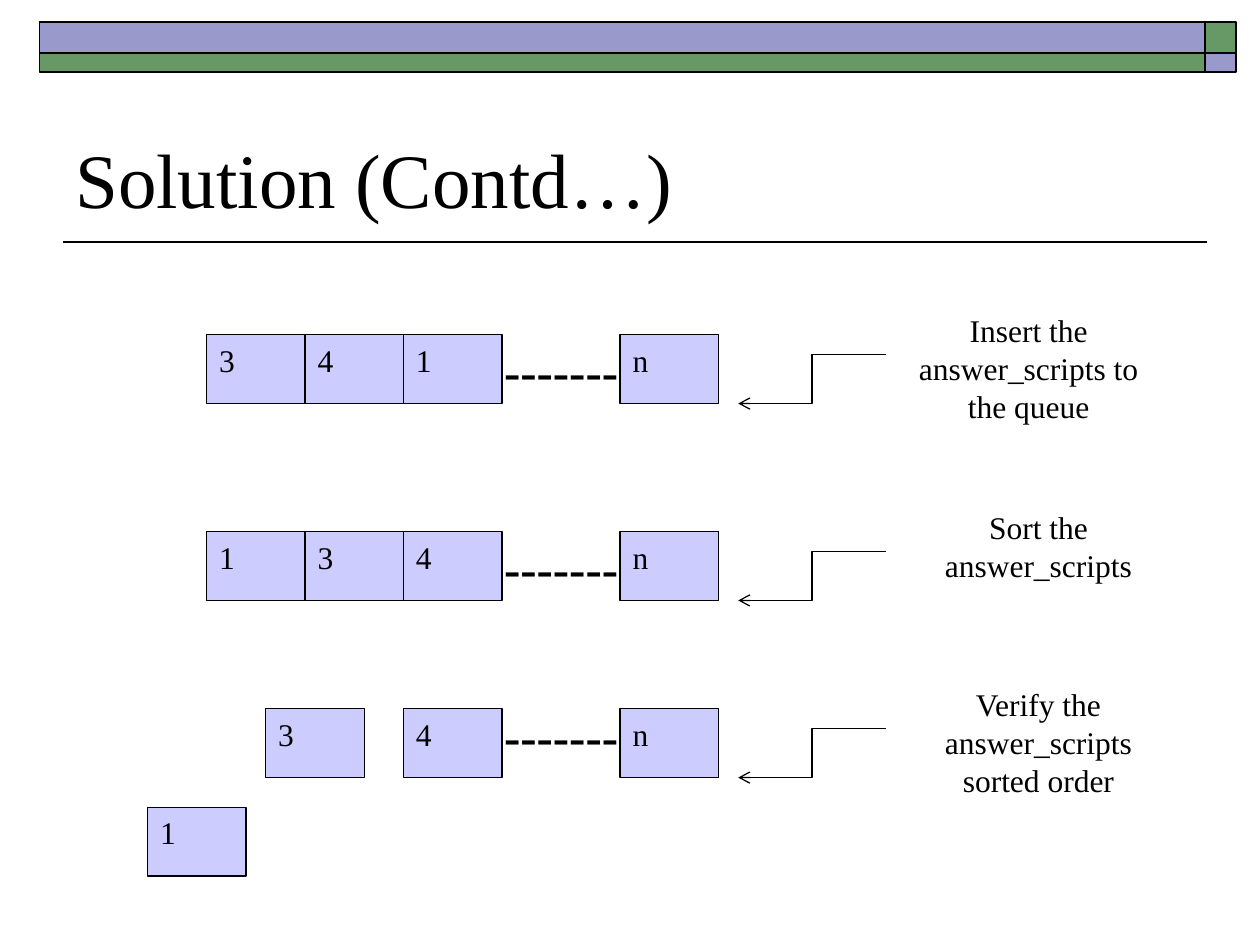
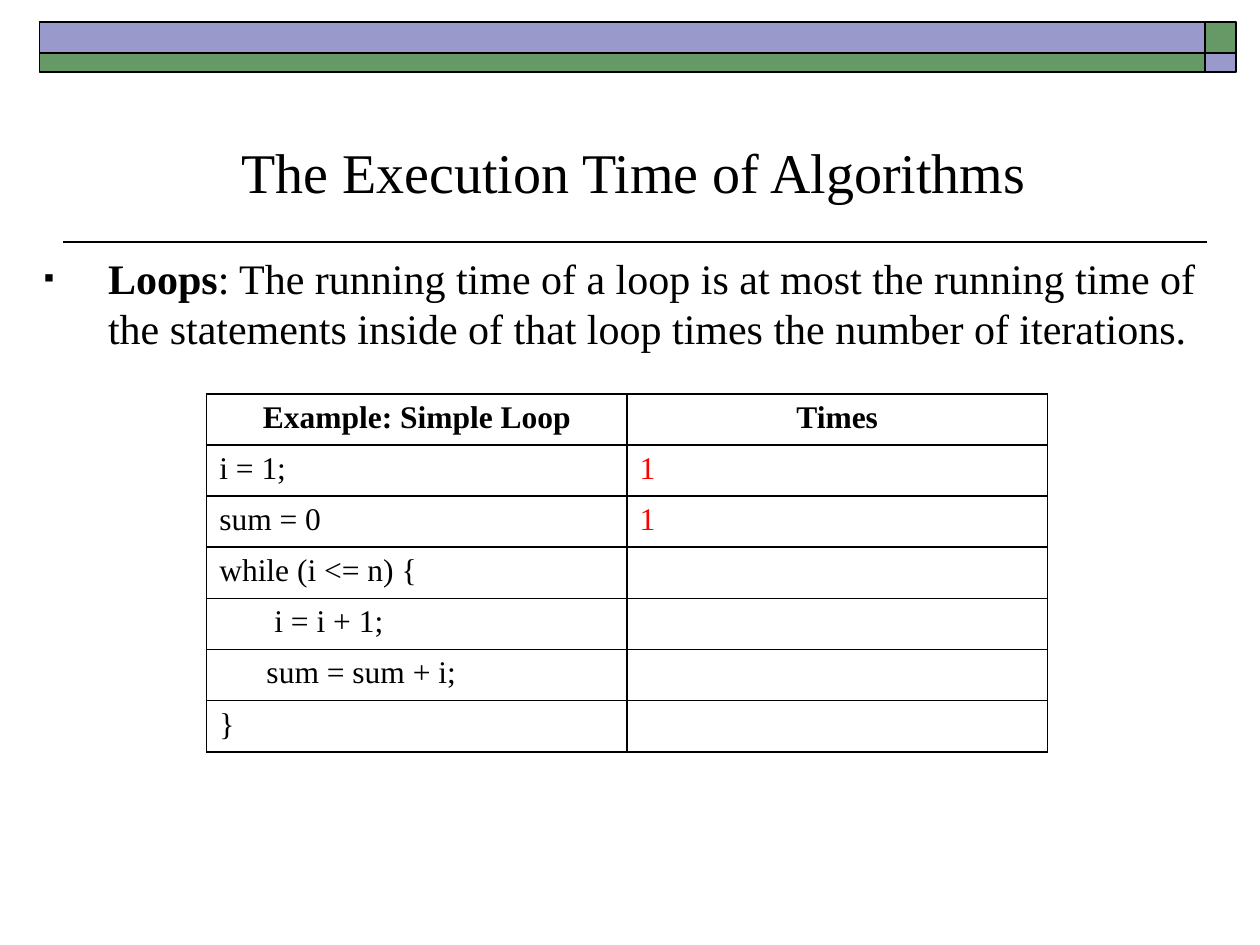
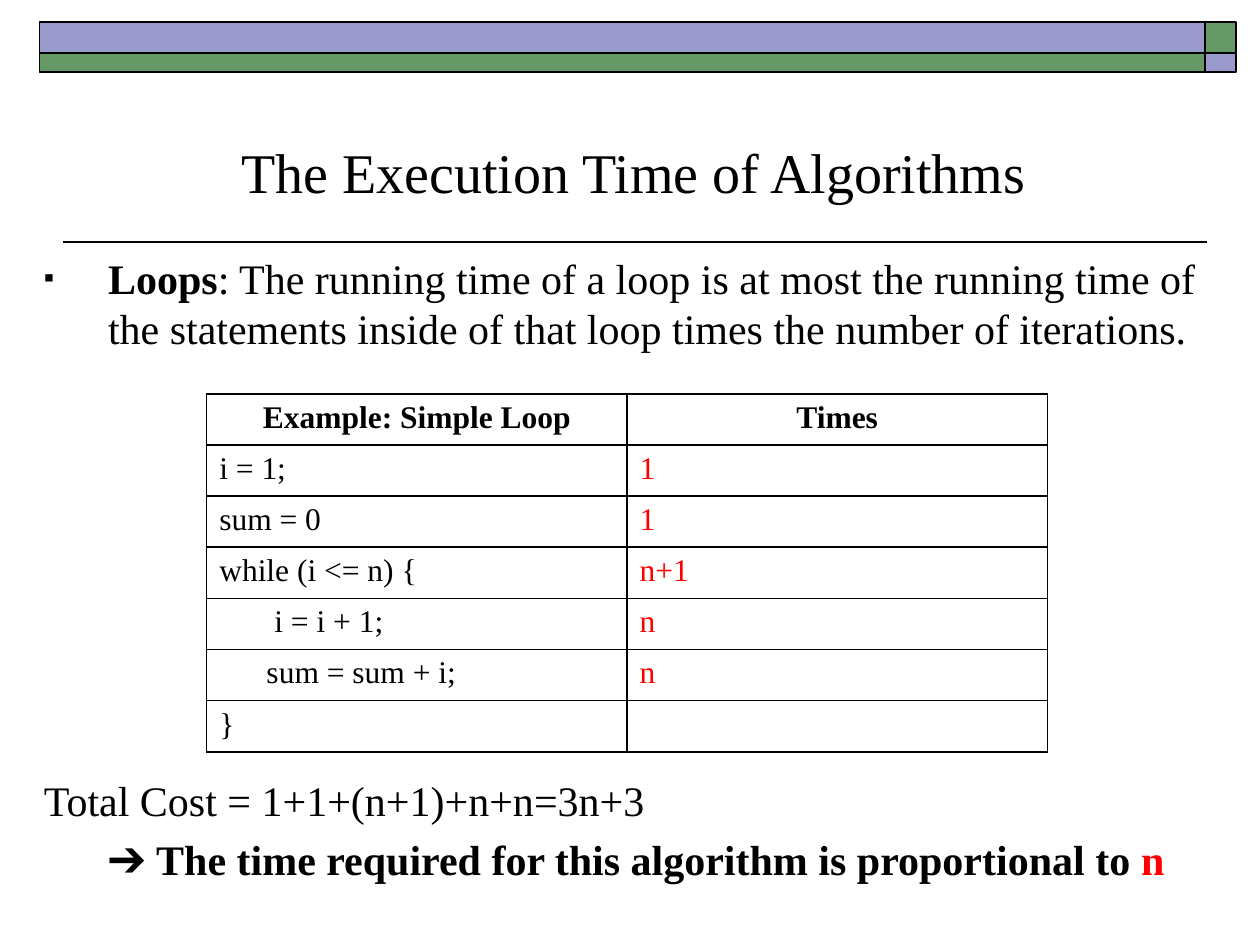
from typing import NamedTuple

from lxml import etree
from pptx import Presentation
from pptx.dml.color import RGBColor
from pptx.enum.shapes import MSO_CONNECTOR, MSO_SHAPE
from pptx.enum.text import MSO_ANCHOR, PP_ALIGN
from pptx.oxml.ns import qn
from pptx.util import Emu, Inches, Pt

RECTANGLE, PROCESS = MSO_SHAPE.RECTANGLE, MSO_SHAPE.FLOWCHART_PROCESS
STRAIGHT, ELBOW = MSO_CONNECTOR.STRAIGHT, MSO_CONNECTOR.ELBOW
LEFT, CENTER = PP_ALIGN.LEFT, PP_ALIGN.CENTER
TOP, BOTTOM = MSO_ANCHOR.TOP, MSO_ANCHOR.BOTTOM

WIDTH, HEIGHT = Inches(10), Inches(7.5)
UNIT = WIDTH / 64  # square grid: 64 columns by 48 rows

FONT = "Times New Roman"
BLACK, RED = "000000", "FF0000"
GREEN, VIOLET, LILAC = "669966", "9999CC", "CCCCFF"
HANGING = Inches(0.51)


class Area(NamedTuple):
    """A place on the grid, in columns and rows."""
    column: float
    row: float
    columns: float
    rows: float


class Band(NamedTuple):
    area: Area
    fill: str


class Span(NamedTuple):
    text: str
    bold: bool = False
    color: str = BLACK


class Item(NamedTuple):
    column: float
    row: float
    text: str


class QueueStep(NamedTuple):
    row: float
    items: list[Item]
    dash_row: float
    label_column: float
    label: str


BANDS = [
    Band(Area(61.2, 1.1, 1.6, 1.6), GREEN),
    Band(Area(2, 1.1, 59.2, 1.6), VIOLET),
    Band(Area(2, 2.7, 59.2, 0.95), GREEN),
    Band(Area(61.2, 2.7, 1.6, 0.95), VIOLET),
]
LEFT_TITLE = Area(3.2, 3.7, 57.6, 8)
CENTER_TITLE = Area(5, 7.5, 54.4, 3.2)
BODY = Area(1.6, 12.5, 60.8, 30.1)
TABLE = Area(10.5, 20, 42.7, 18.2)

# Queue diagram: cells of 5 by 3.5 units
CELL_COLUMNS, CELL_ROWS = 5, 3.5
FIRST, SECOND, THIRD, LAST = 10.5, 15.5, 20.5, 31.5
QUEUE_STEPS = [
    QueueStep(17, [Item(FIRST, 17, "3"), Item(SECOND, 17, "4"), Item(THIRD, 17, "1")],
              17, 45.5, "Insert the answer_scripts to the queue"),
    QueueStep(27, [Item(FIRST, 27, "1"), Item(SECOND, 27, "3"), Item(THIRD, 27, "4")],
              27, 46, "Sort the answer_scripts"),
    QueueStep(36, [Item(7.5, 41, "1"), Item(13.5, 36, "3"), Item(THIRD, 36, "4")],
              35.5, 46, "Verify the answer_scripts sorted order"),
]

LOOP_CODE = ["i = 1;", "sum = 0", "while (i <= n) {",
             "       i = i + 1;", "      sum = sum + i;", "}"]
LOOP_RULE = [
    Span("Loops", bold=True),
    Span(": The running time of a loop is at most the running time of the "
         "statements inside of that loop times the number of iterations."),
]
TOTAL_COST = [Span("Total Cost = 1+1+(n+1)+n+n=3n+3")]
CONCLUSION = [
    Span("➔ "),
    Span("The time required for this algorithm is proportional to ", bold=True),
    Span("n", bold=True, color=RED),
]


def rgb(color: str) -> RGBColor:
    return RGBColor.from_string(color)


def grid(units: float) -> Emu:
    return Emu(round(units * UNIT))


def place(area: Area) -> list[Emu]:
    return [grid(units) for units in area]


def style(paragraph, size: float, align=LEFT, bold: bool = False, color: str = BLACK) -> None:
    paragraph.alignment = align
    font = paragraph.font
    font.name, font.size, font.bold = FONT, Pt(size), bold
    font.color.rgb = rgb(color)


def add_box(slide, kind, area: Area, fill: str, line_width: float):
    shape = slide.shapes.add_shape(kind, *place(area))
    shape.shadow.inherit = False
    shape.fill.solid()
    shape.fill.fore_color.rgb = rgb(fill)
    shape.line.color.rgb = rgb(BLACK)
    shape.line.width = Pt(line_width)
    return shape


def add_text(slide, area: Area, text: str, size: float, align=CENTER,
             bold: bool = False, anchor=TOP) -> None:
    frame = slide.shapes.add_textbox(*place(area)).text_frame
    frame.word_wrap = True
    frame.vertical_anchor = anchor
    frame.text = text
    style(frame.paragraphs[0], size, align, bold)


def add_line(slide, kind, start: tuple[float, float], end: tuple[float, float],
             width: float, arrow: bool = False) -> None:
    connector = slide.shapes.add_connector(kind, *map(grid, start + end))
    connector.line.color.rgb = rgb(BLACK)
    connector.line.width = Pt(width)
    properties = connector._element.spPr
    if arrow:
        etree.SubElement(properties.find(qn("a:ln")), qn("a:tailEnd"), type="arrow")
    etree.SubElement(properties, qn("a:effectLst"))


def add_framed_slide(presentation):
    """Blank slide with the shared bands and the rule below the title."""
    slide = presentation.slides.add_slide(presentation.slide_layouts[6])
    add_line(slide, STRAIGHT, (61.3, 12.3), (3.2, 12.3), 1)
    for band in BANDS:
        add_box(slide, RECTANGLE, band.area, band.fill, 1)
    return slide


# Queue slide
def add_item(slide, item: Item) -> None:
    area = Area(item.column, item.row, CELL_COLUMNS, CELL_ROWS)
    frame = add_box(slide, PROCESS, area, LILAC, 0.75).text_frame
    frame.vertical_anchor = TOP
    frame.text = item.text
    style(frame.paragraphs[0], 18)


def add_queue_step(slide, step: QueueStep) -> None:
    add_text(slide, Area(24, step.dash_row, 9, 3.65), "-------", 28, bold=True)
    for item in [*step.items, Item(LAST, step.row, "n")]:
        add_item(slide, item)
    add_line(slide, ELBOW, (45, step.row + 1), (37.5, step.row + CELL_ROWS), 0.75, arrow=True)
    add_text(slide, Area(step.label_column, step.row - 1.5, 13.5, 6.5), step.label, 18)


def add_queue_slide(presentation) -> None:
    slide = add_framed_slide(presentation)
    add_text(slide, LEFT_TITLE, "Solution (Contd…)", 44, LEFT, anchor=BOTTOM)
    for step in QUEUE_STEPS:
        add_queue_step(slide, step)


# Loop slides
def set_indent(paragraph, margin: int, first_line: int = 0) -> None:
    properties = paragraph._p.get_or_add_pPr()
    properties.set("marL", str(margin))
    properties.set("indent", str(first_line))


def add_bullet(paragraph) -> None:
    set_indent(paragraph, HANGING, -HANGING)
    properties = paragraph._p.get_or_add_pPr()
    color = etree.SubElement(properties, qn("a:buClr"))
    etree.SubElement(color, qn("a:srgbClr"), val=BLACK)
    etree.SubElement(properties, qn("a:buSzPct"), val="70000")
    etree.SubElement(properties, qn("a:buFont"), typeface=FONT)
    etree.SubElement(properties, qn("a:buChar"), char="▪")


def write_spans(paragraph, spans: list[Span]) -> None:
    style(paragraph, 24)
    for span in spans:
        run = paragraph.add_run()
        run.text = span.text
        run.font.bold = span.bold
        run.font.color.rgb = rgb(span.color)


def add_body(slide, with_cost: bool) -> None:
    frame = slide.shapes.add_textbox(*place(BODY)).text_frame
    frame.word_wrap = True
    rule = frame.paragraphs[0]
    add_bullet(rule)
    write_spans(rule, LOOP_RULE)
    if with_cost:
        total = frame.add_paragraph()
        total.space_before = Pt(241)  # clears the table
        write_spans(total, TOTAL_COST)
        conclusion = frame.add_paragraph()
        conclusion.space_before = Pt(4.8)
        set_indent(conclusion, HANGING)
        write_spans(conclusion, CONCLUSION)


def add_borders(cell) -> None:
    properties = cell._tc.get_or_add_tcPr()
    for side in ("lnL", "lnR", "lnT", "lnB"):
        line = etree.SubElement(properties, qn(f"a:{side}"), w=str(Pt(1)))
        fill = etree.SubElement(line, qn("a:solidFill"))
        etree.SubElement(fill, qn("a:srgbClr"), val=BLACK)


def add_times_table(slide, times: list[str]) -> None:
    rows = [("Example: Simple Loop", "Times"), *zip(LOOP_CODE, times)]
    table = slide.shapes.add_table(len(rows), 2, *place(TABLE)).table
    table.first_row = table.horz_banding = False
    for row_index, texts in enumerate(rows):
        header = row_index == 0
        for column_index, text in enumerate(texts):
            cell = table.cell(row_index, column_index)
            add_borders(cell)
            cell.fill.background()
            cell.text = text
            color = RED if column_index and not header else BLACK
            style(cell.text_frame.paragraphs[0], 18, CENTER if header else LEFT, header, color)


def add_loop_slide(presentation, times: list[str], with_cost: bool) -> None:
    slide = add_framed_slide(presentation)
    add_body(slide, with_cost)
    add_text(slide, CENTER_TITLE, "The Execution Time of Algorithms", 32, anchor=BOTTOM)
    add_times_table(slide, times)


def main() -> None:
    presentation = Presentation()
    presentation.slide_width, presentation.slide_height = WIDTH, HEIGHT
    add_queue_slide(presentation)
    add_loop_slide(presentation, ["1", "1", "", "", "", ""], with_cost=False)
    add_loop_slide(presentation, ["1", "1", "n+1", "n", "n", ""], with_cost=True)
    presentation.save("out.pptx")


if __name__ == "__main__":
    main()
